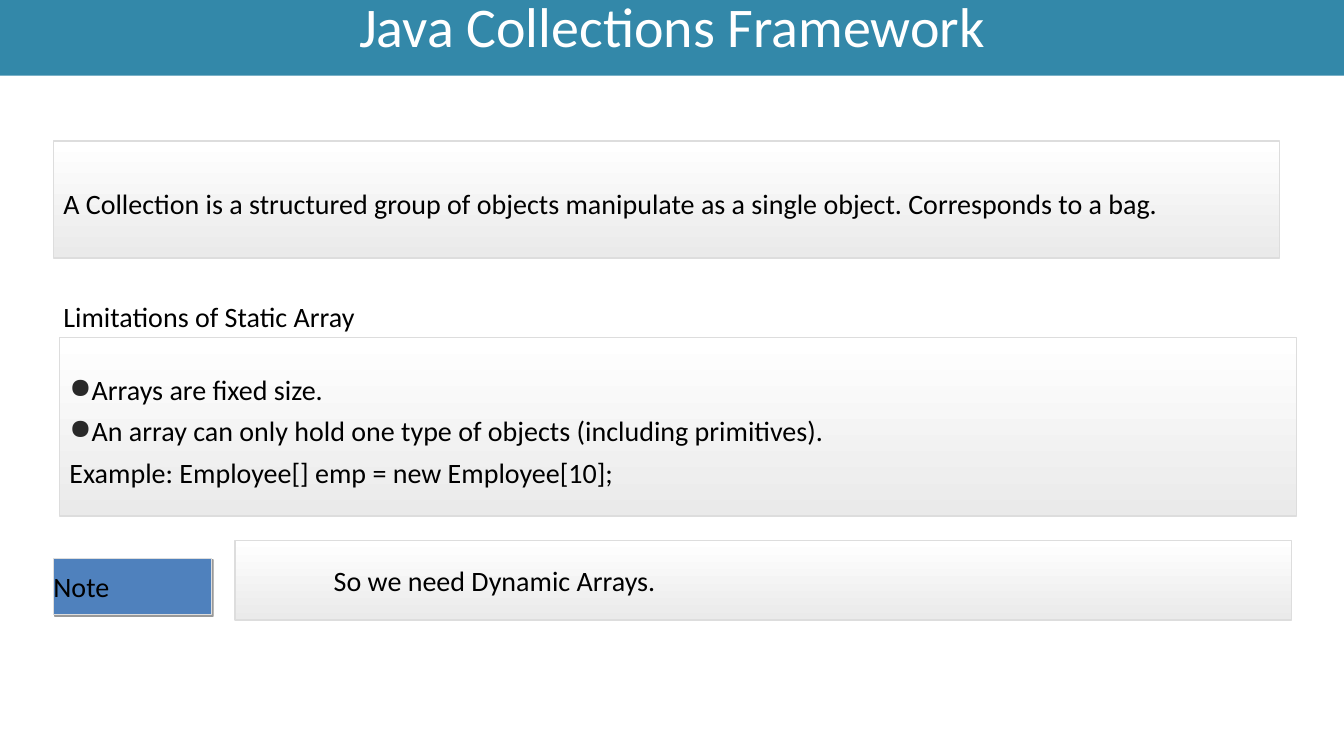
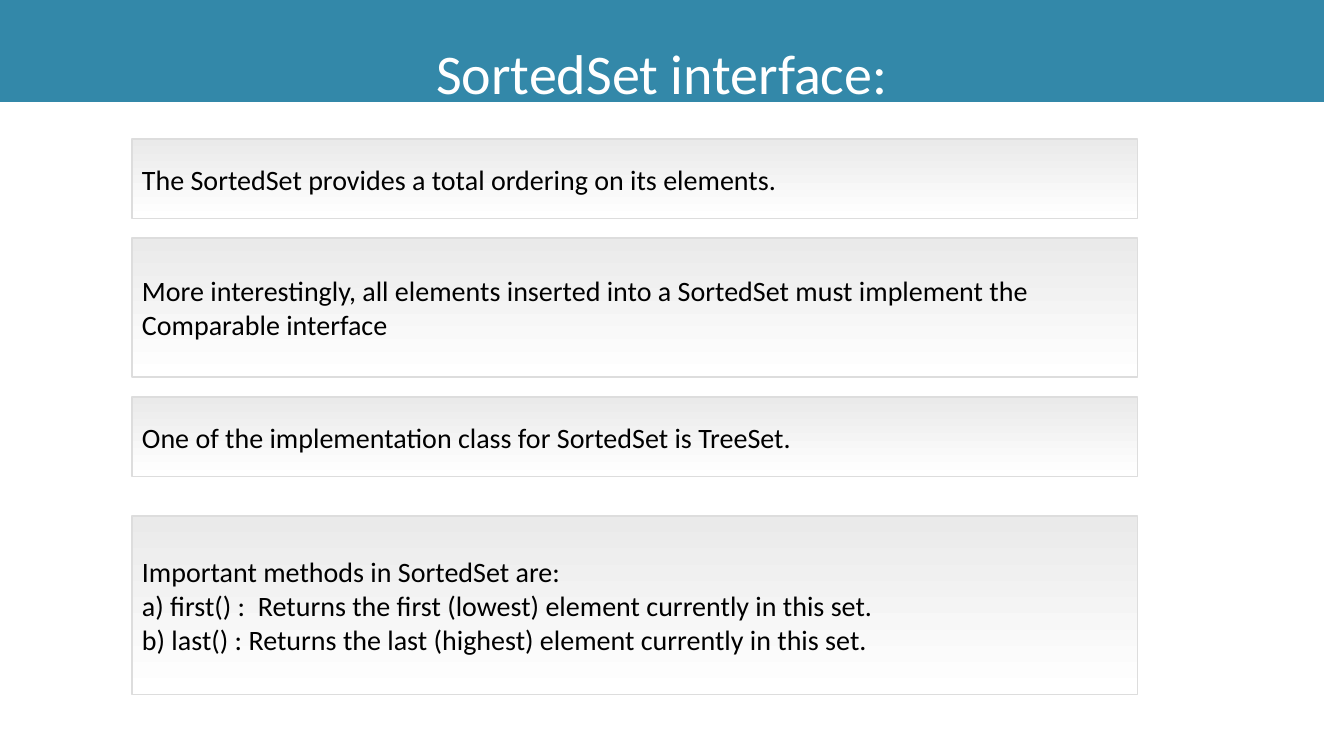
import pptx
import pptx.dml.color
import pptx.enum.dml
import pptx.enum.shapes
import pptx.enum.text
import pptx.oxml
import pptx.oxml.ns
import pptx.util

Inches = pptx.util.Inches
Pt = pptx.util.Pt
RGBColor = pptx.dml.color.RGBColor
Anchor = pptx.enum.text.MSO_ANCHOR
Align = pptx.enum.text.PP_ALIGN
AutoSize = pptx.enum.text.MSO_AUTO_SIZE

TEAL = RGBColor(0x33, 0x88, 0xA9)
BLUE = RGBColor(0x4F, 0x81, 0xBD)
BORDER = RGBColor(0xDD, 0xDD, 0xDD)
GREY = RGBColor(0xEA, 0xEA, 0xEA)
WHITE = RGBColor(0xFF, 0xFF, 0xFF)
BLACK = RGBColor(0x00, 0x00, 0x00)

FONT = "Calibri"
BODY_SIZE = Pt(20)
TITLE_SIZE = Pt(40)
FIXED_LINE = Pt(29.6)
BULLET = "●"
BULLET_COLOR = "292929"


class Slides:
    """Holds the shared style and the slide being built."""

    def __init__(self):
        self.deck = pptx.Presentation()
        self.deck.slide_width = Inches(13.33)
        self.deck.slide_height = Inches(7.5)
        self.page = None

    def new_page(self):
        self.page = self.deck.slides.add_slide(self.deck.slide_layouts[6])

    def box(self, left, top, width, height):
        """Add a rectangle without shadow or outline."""
        box = self.page.shapes.add_shape(
            pptx.enum.shapes.MSO_SHAPE.RECTANGLE,
            Inches(left), Inches(top), Inches(width), Inches(height))
        box.shadow.inherit = False
        box.line.fill.background()
        return box

    def outline(self, box):
        box.line.color.rgb = BORDER
        box.line.width = Pt(1)

    def add_text(self, box, lines, size=BODY_SIZE, color=BLACK, align=Align.LEFT,
                 spacing=None, anchor=Anchor.MIDDLE, insets=(0.1, 0.1)):
        """Fill the box with one paragraph per line; insets are (sides, top and bottom)."""
        frame = box.text_frame
        frame.word_wrap = True
        frame.vertical_anchor = anchor
        frame.margin_left = frame.margin_right = Inches(insets[0])
        frame.margin_top = frame.margin_bottom = Inches(insets[1])
        for index, line in enumerate(lines):
            para = frame.add_paragraph() if index else frame.paragraphs[0]
            para.alignment = align
            para.line_spacing = spacing
            if line.startswith(BULLET):
                self.add_bullet(para)
            span = para.add_run()
            span.text = line.removeprefix(BULLET)
            span.font.name = FONT
            span.font.size = size
            span.font.color.rgb = color

    def add_bullet(self, para):
        namespace = pptx.oxml.ns.nsdecls("a")
        properties = para._p.get_or_add_pPr()
        for markup in (
                f'<a:buClr {namespace}><a:srgbClr val="{BULLET_COLOR}"/></a:buClr>',
                f'<a:buChar {namespace} char="{BULLET}"/>'):
            properties.append(pptx.oxml.parse_xml(markup))

    def title_band(self, text, width, height, **style):
        band = self.box(0, 0, width, height)
        band.fill.solid()
        band.fill.fore_color.rgb = TEAL
        self.add_text(band, [text], TITLE_SIZE, WHITE, Align.CENTER,
                      insets=(0.1, 0.05), **style)
        return band

    def panel(self, left, top, width, height, lines, shades, spacing=None):
        """Add an outlined text panel shaded from top to bottom."""
        panel = self.box(left, top, width, height)
        panel.fill.gradient()
        panel.fill.gradient_angle = 270
        for stop, shade in zip(panel.fill.gradient_stops, shades):
            stop.color.rgb = shade
        self.outline(panel)
        self.add_text(panel, lines, spacing=spacing)
        return panel

    def heading(self, left, top, width, height, text):
        heading = self.page.shapes.add_textbox(
            Inches(left), Inches(top), Inches(width), Inches(height))
        self.add_text(heading, [text], spacing=1.5, anchor=Anchor.TOP, insets=(0.1, 0.05))
        heading.text_frame.auto_size = AutoSize.SHAPE_TO_FIT_TEXT

    def tag(self, left, top, width, height, text):
        """Add a blue label with a small hard shadow."""
        tag = self.box(left, top, width, height)
        tag.fill.solid()
        tag.fill.fore_color.rgb = BLUE
        self.outline(tag)
        effects = tag._element.spPr.find(pptx.oxml.ns.qn("a:effectLst"))
        effects.append(pptx.oxml.parse_xml(
            f'<a:outerShdw {pptx.oxml.ns.nsdecls("a")} blurRad="0" dist="{Pt(1.4)}" '
            'dir="2700000" algn="tl" rotWithShape="0">'
            '<a:srgbClr val="000000"><a:alpha val="40000"/></a:srgbClr></a:outerShdw>'))
        self.add_text(tag, [text], insets=(0, 0))


def collections_page(slides):
    slides.new_page()
    shades = (WHITE, GREY)
    slides.panel(
        0.53, 1.4, 12.16, 1.16,
        ["A Collection is a structured group of objects manipulate as a single object. "
         "Corresponds to a bag."], shades, FIXED_LINE)
    slides.title_band("Java Collections Framework", 13.33, 0.75, spacing=FIXED_LINE)
    slides.heading(0.53, 2.76, 7.09, 0.56, "Limitations of Static Array")
    slides.panel(
        0.59, 3.35, 12.27, 1.77,
        [BULLET + "Arrays are fixed size.",
         BULLET + "An array can only hold one type of objects (including primitives).",
         "Example: Employee[] emp = new Employee[10];"], shades, FIXED_LINE)
    conclusion = slides.panel(2.33, 5.36, 10.48, 0.79,
                              ["So we need Dynamic Arrays."], shades)
    conclusion.text_frame.margin_left = Inches(0.98)
    slides.tag(0.53, 5.54, 1.57, 0.56, "Note")


def sorted_set_page(slides):
    slides.new_page()
    band = slides.title_band("SortedSet interface:", 13.13, 1.01,
                             spacing=1.5, anchor=Anchor.TOP)
    band.text_frame.auto_size = AutoSize.SHAPE_TO_FIT_TEXT
    panels = [
        (1.38, 0.79, ["The SortedSet provides a total ordering on its elements."]),
        (2.36, 1.38, ["More interestingly, all elements inserted into a SortedSet "
                      "must implement the Comparable interface"]),
        (3.94, 0.79, ["One of the implementation class for SortedSet is TreeSet."]),
        (5.12, 1.77, [
            "Important methods in SortedSet are:",
            "a) first() :  Returns the first (lowest) element currently in this set.",
            "b) last() : Returns the last (highest) element currently in this set."]),
    ]
    for top, height, lines in panels:
        slides.panel(1.31, top, 9.97, height, lines, (GREY, WHITE))


def main():
    slides = Slides()
    collections_page(slides)
    sorted_set_page(slides)
    slides.deck.save("out.pptx")


if __name__ == "__main__":
    main()
